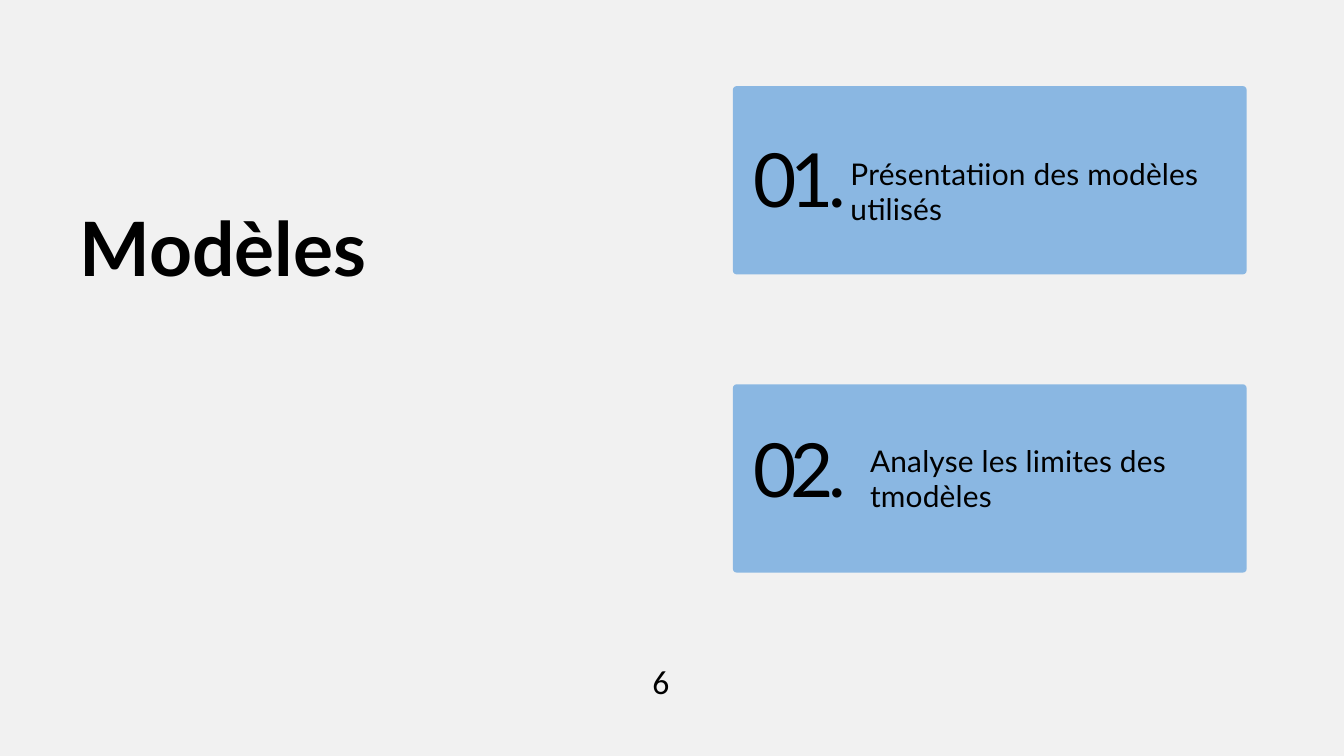
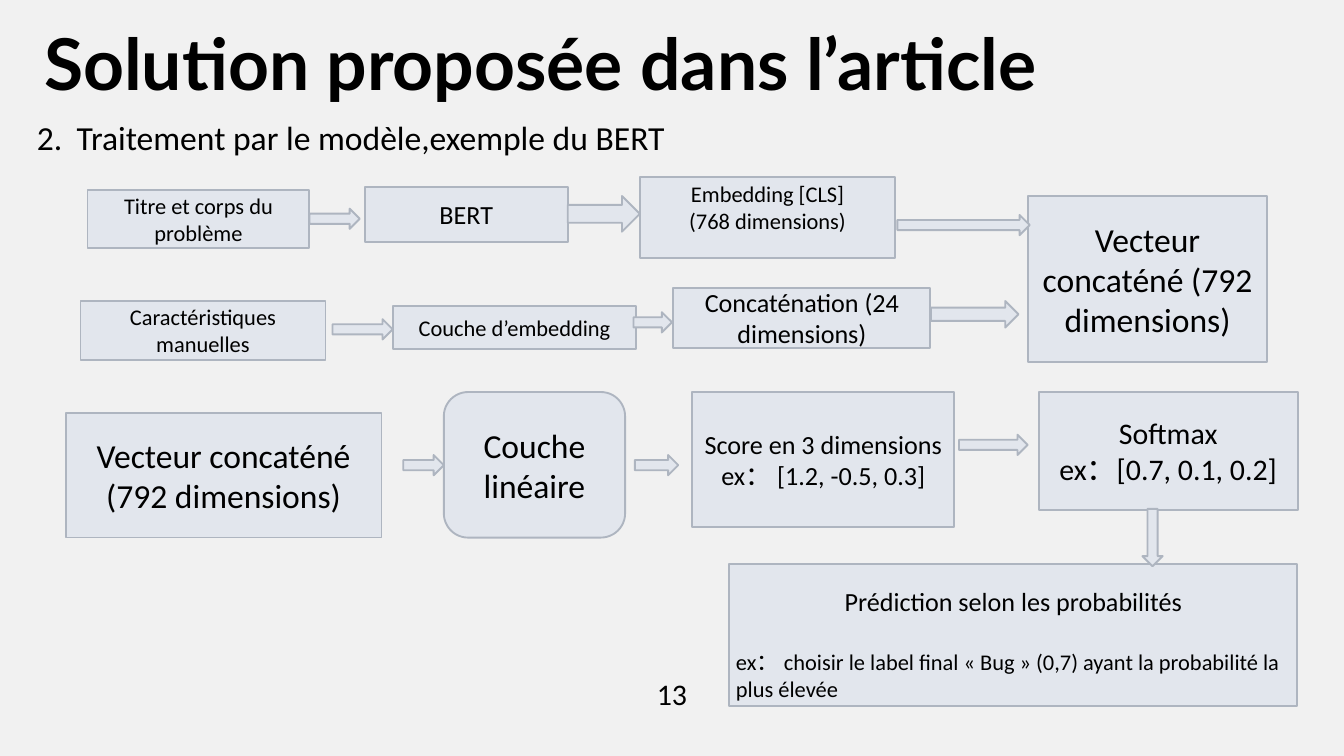
from lxml.etree import SubElement
from pptx import Presentation
from pptx.dml.color import RGBColor
from pptx.enum.shapes import MSO_SHAPE
from pptx.enum.text import MSO_ANCHOR, MSO_AUTO_SIZE, PP_ALIGN
from pptx.oxml.ns import qn
from pptx.util import Emu, Pt

EMU_PER_PX = 9525
COLORS = {
    "background": "F1F1F1",
    "text": "000000",
    "card": "8AB7E2",
    "node": "E2E6ED",
    "outline": "AEB5C0",
}
TITLE_FONT = "Lato"
BODY_FONT = "Calibri"
TITLE_ONLY, TITLE_AND_CONTENT = 5, 1

CARD_LEFT, CARD_TOP, CARD_STEP = 1047, 123, 426
CARD_WIDTH, CARD_HEIGHT = 734, 269
CARDS = [
    ("01.", 215, ["Présentatiion des modèles", "utilisés"], (1215, 223)),
    ("02.", 630, ["Analyse les limites des", "tmodèles"], (1243, 633)),
]

STEPS = [
    ((125, 272, 317, 82), ["Titre et corps du problème"], 24),
    ((521, 267, 290, 79), ["BERT"], 28),
    ((1469, 280, 341, 237), ["Vecteur concaténé (792 dimensions)"], 36),
    ((115, 430, 350, 84), ["Caractéristiques manuelles"], 24),
    ((562, 437, 346, 62), ["Couche d’embedding"], 24),
    ((962, 411, 367, 86), ["Concaténation (24 dimensions)"], 28),
    ((94, 590, 451, 178), ["Vecteur concaténé (792 dimensions)"], 36),
    ((989, 560, 374, 193), ["Score en 3 dimensions", "ex： [1.2, -0.5, 0.3]"], 28),
    ((1484, 560, 370, 168), ["Softmax", "ex：[0.7, 0.1, 0.2]"], 32),
]
FLOW_ARROWS = [
    (442, 298, 72, 29),
    (811, 280, 103, 51),
    (1282, 307, 189, 29),
    (475, 456, 86, 29),
    (905, 446, 55, 29),
    (1330, 430, 125, 38),
    (576, 650, 58, 29),
    (907, 650, 62, 29),
    (1370, 621, 98, 29),
]


def px(length):
    """Turn px into EMU."""
    return Emu(length * EMU_PER_PX)


def color(name):
    """Return the named palette colour."""
    return RGBColor.from_string(COLORS[name])


def place(shape, box):
    """Move and size a shape by its box in px."""
    shape.left, shape.top, shape.width, shape.height = map(px, box)


def style(paragraph, font, size, align=PP_ALIGN.LEFT, bold=False):
    """Set the font and alignment of a paragraph."""
    paragraph.alignment = align
    paragraph.font.name = font
    paragraph.font.size = Pt(size)
    paragraph.font.bold = bold
    paragraph.font.color.rgb = color("text")


def clear_margins(frame):
    """Remove the insets of a text frame."""
    frame.margin_left = frame.margin_top = frame.margin_right = frame.margin_bottom = 0


def add_title(slide, text, box, size, leading):
    """Fill and format the title placeholder."""
    title = slide.shapes.title
    place(title, box)
    frame = title.text_frame
    frame.text = text
    frame.auto_size = MSO_AUTO_SIZE.NONE
    frame.vertical_anchor = MSO_ANCHOR.TOP
    clear_margins(frame)
    heading = frame.paragraphs[0]
    style(heading, TITLE_FONT, size, bold=True)
    heading.line_spacing = Pt(leading)


def add_numbered_item(slide, text, number, box, size):
    """Fill the body placeholder with one numbered item."""
    body = slide.placeholders[1]
    place(body, box)
    frame = body.text_frame
    frame.text = text
    frame.auto_size = MSO_AUTO_SIZE.NONE
    item = frame.paragraphs[0]
    properties = item._p.get_or_add_pPr()
    properties.set("marL", str(px(57)))
    properties.set("indent", str(-px(57)))
    SubElement(properties, qn("a:buAutoNum"), type="arabicPeriod", startAt=str(number))
    style(item, BODY_FONT, size)
    item.space_before = Pt(0)


def add_text(slide, lines, box, font, size, align):
    """Add a wrapped text box with one paragraph per line."""
    frame = slide.shapes.add_textbox(*map(px, box)).text_frame
    frame.word_wrap = True
    frame.text = "\n".join(lines)
    for paragraph in frame.paragraphs:
        style(paragraph, font, size, align)
    return frame


def add_spaced_text(slide, lines, box, size, align, leading, tracking):
    """Add title-font text with exact leading and letter spacing."""
    frame = add_text(slide, lines, box, TITLE_FONT, size, align)
    clear_margins(frame)
    for paragraph in frame.paragraphs:
        paragraph.line_spacing = Pt(leading)
        for run in paragraph.runs:
            run._r.get_or_add_rPr().set("spc", str(tracking))


def add_page_number(slide, number, box, size):
    """Add the centred page number."""
    add_text(slide, [number], box, BODY_FONT, size, PP_ALIGN.CENTER)


def add_block(slide, preset, box, fill):
    """Add a flat filled preset shape without outline."""
    block = slide.shapes.add_shape(preset, *map(px, box))
    block.shadow.inherit = False
    block.fill.solid()
    block.fill.fore_color.rgb = color(fill)
    block.line.fill.background()
    return block


def add_outlined(slide, preset, box):
    """Add a diagram shape with the shared fill and outline."""
    block = add_block(slide, preset, box, "node")
    block.line.color.rgb = color("outline")
    block.line.width = Pt(2)
    return block


def add_step(slide, box, lines, size, anchor=MSO_ANCHOR.MIDDLE, preset=MSO_SHAPE.RECTANGLE):
    """Add a labelled diagram step and return its text frame."""
    frame = add_outlined(slide, preset, box).text_frame
    frame.word_wrap = True
    frame.vertical_anchor = anchor
    frame.text = "\n".join(lines)
    for paragraph in frame.paragraphs:
        style(paragraph, BODY_FONT, size, PP_ALIGN.CENTER)
    return frame


def build_models(prs):
    """Build the section slide with its two numbered cards."""
    slide = prs.slides.add_slide(prs.slide_layouts[TITLE_ONLY])
    add_title(slide, "Modèles", (114, 312, 781, 105), 80.3, 78)
    for index, (number, number_top, lines, (left, top)) in enumerate(CARDS):
        card_box = (CARD_LEFT, CARD_TOP + index * CARD_STEP, CARD_WIDTH, CARD_HEIGHT)
        card = add_block(slide, MSO_SHAPE.ROUNDED_RECTANGLE, card_box, "card")
        card.adjustments[0] = 0.02
        add_spaced_text(slide, [number], (1077, number_top, 166, 106), 80,
                        PP_ALIGN.LEFT, 76.8, -660)
        add_spaced_text(slide, lines, (left, top, 545, 104), 32,
                        PP_ALIGN.JUSTIFY, 37.8, 20)
    add_page_number(slide, "6", (832, 940, 224, 84), 36)


def build_solution(prs):
    """Build the slide with the model's processing diagram."""
    slide = prs.slides.add_slide(prs.slide_layouts[TITLE_AND_CONTENT])
    add_title(slide, "Solution proposée dans l’article", (63, 51, 1598, 103), 76.5, 74.2)
    add_numbered_item(slide, "Traitement par le modèle,exemple du BERT", 2,
                      (43, 162, 1877, 80), 36)
    for box, lines, size in STEPS:
        add_step(slide, box, lines, size)
    add_step(slide, (914, 253, 365, 116), ["Embedding [CLS]", "(768 dimensions)"], 24,
             anchor=MSO_ANCHOR.TOP)
    add_step(slide, (634, 560, 259, 208), ["Couche linéaire"], 36,
             preset=MSO_SHAPE.ROUNDED_RECTANGLE)
    prediction = add_step(slide, (1042, 806, 811, 202), [
        "Prédiction selon les probabilités",
        "ex： choisir le label final « Bug » (0,7) ayant la probabilité la plus élevée",
    ], 28, anchor=MSO_ANCHOR.BOTTOM)
    example = prediction.paragraphs[1]
    style(example, BODY_FONT, 24)
    example.space_before = Pt(34)
    for box in FLOW_ARROWS:
        add_outlined(slide, MSO_SHAPE.RIGHT_ARROW, box)
    add_outlined(slide, MSO_SHAPE.DOWN_ARROW, (1632, 727, 29, 82))
    add_page_number(slide, "13", (848, 961, 224, 113), 32)


def main():
    """Create the presentation and save it."""
    prs = Presentation()
    prs.slide_width, prs.slide_height = px(1920), px(1080)
    backdrop = prs.slide_master.background.fill
    backdrop.solid()
    backdrop.fore_color.rgb = color("background")
    build_models(prs)
    build_solution(prs)
    prs.save("out.pptx")


if __name__ == "__main__":
    main()
